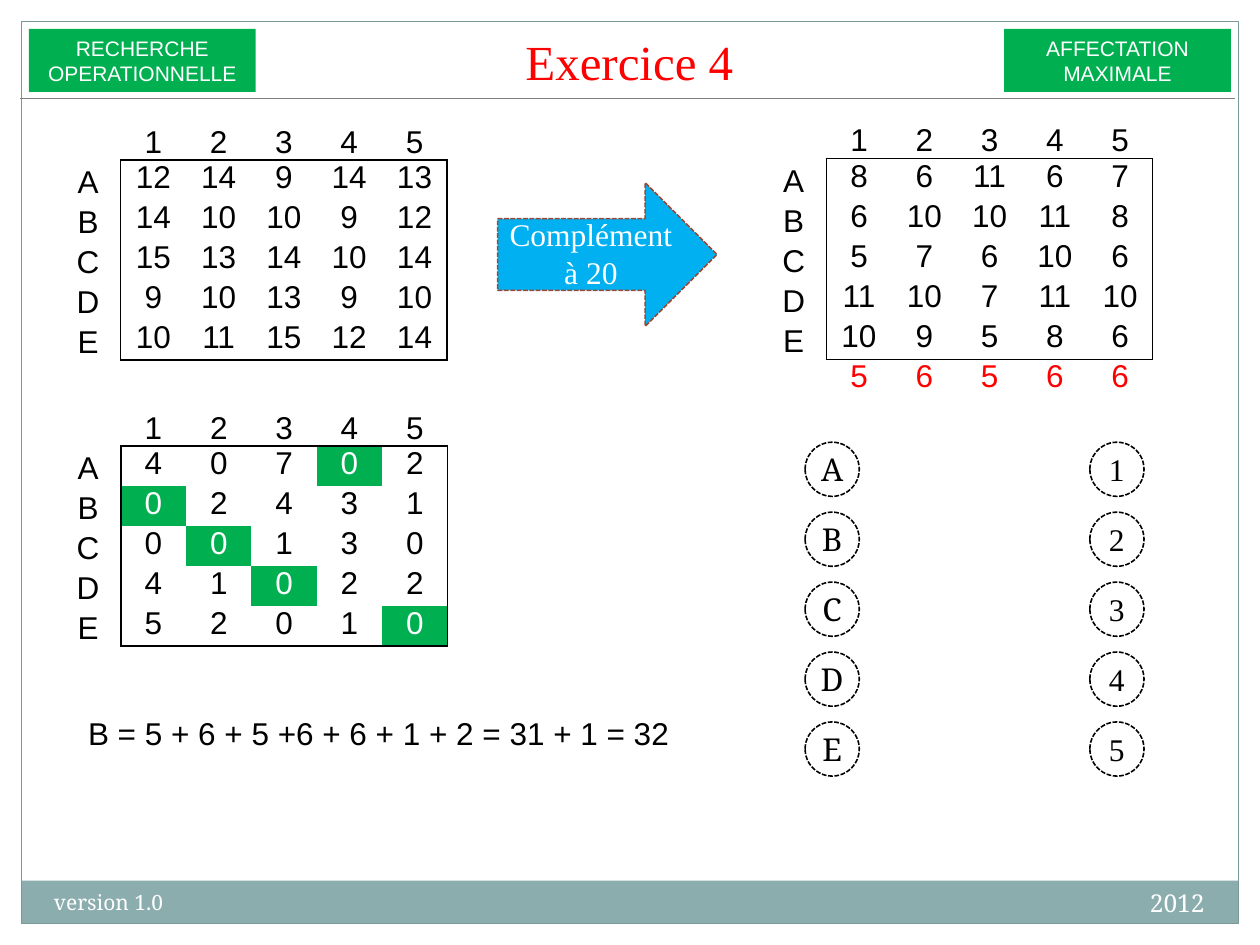
import pptx
import pptx.util
import pptx.dml.color
import pptx.enum.dml
import pptx.enum.shapes
import pptx.enum.text
import pptx.oxml.ns
from lxml import etree

RGBColor = pptx.dml.color.RGBColor
Shape = pptx.enum.shapes.MSO_SHAPE
Anchor = pptx.enum.text.MSO_ANCHOR
Align = pptx.enum.text.PP_ALIGN
Pt = pptx.util.Pt

BLACK = RGBColor(0x00, 0x00, 0x00)
WHITE = RGBColor(0xFF, 0xFF, 0xFF)
RED = RGBColor(0xFF, 0x00, 0x00)
GREEN = RGBColor(0x00, 0xB0, 0x50)
BLUE = RGBColor(0x00, 0xB0, 0xF0)
BROWN = RGBColor(0x9B, 0x49, 0x36)
GREY = RGBColor(0x80, 0x80, 0x80)
FOOTER_FILL = RGBColor(0x8C, 0xAD, 0xAE)
FRAME_LINE = RGBColor(0x7C, 0x99, 0x9A)

SANS, SERIF, TIMES = "Arial", "Noto Serif", "Times New Roman"

# The slide is a grid of 100 columns by 75 rows; boxes are (left, top, width, height) in it
SLIDE_WIDTH, SLIDE_HEIGHT = pptx.util.Inches(10), pptx.util.Inches(7.5)
UNIT = SLIDE_WIDTH / 100

TASKS, WORKERS = "12345", "ABCDE"
COSTS = [[12, 14, 9, 14, 13], [14, 10, 10, 9, 12], [15, 13, 14, 10, 14],
         [9, 10, 13, 9, 10], [10, 11, 15, 12, 14]]
COMPLEMENTS = [[20 - cost for cost in row] for row in COSTS]
COLUMN_MINIMA = [min(column) for column in zip(*COMPLEMENTS)]
REDUCED = [[4, 0, 7, 0, 2], [0, 2, 4, 3, 1], [0, 0, 1, 3, 0],
           [4, 1, 0, 2, 2], [5, 2, 0, 1, 0]]
ASSIGNED = {(1, 4), (2, 1), (3, 2), (4, 3), (5, 5)}  # (row, column) in the table


def grid(*lengths):
    return [round(length * UNIT) for length in lengths]


def write(frame, lines, size, font, color, align=Align.LEFT, anchor=Anchor.TOP):
    frame.word_wrap = True
    frame.vertical_anchor = anchor
    frame.text = "\n".join(lines)
    for paragraph in frame.paragraphs:
        paragraph.alignment = align
        paragraph.font.size = Pt(size)
        paragraph.font.name = font
        paragraph.font.color.rgb = color


def add_text(slide, box, lines, size, font, color, align=Align.LEFT):
    text_box = slide.shapes.add_textbox(*grid(*box))
    write(text_box.text_frame, lines, size, font, color, align)


def add_plain_shape(slide, kind, box, fill=None, line=None, width=0.75, dashed=False):
    shape = slide.shapes.add_shape(kind, *grid(*box))
    shape.shadow.inherit = False
    if fill is None:
        shape.fill.background()
    else:
        shape.fill.solid()
        shape.fill.fore_color.rgb = fill
    if line is None:
        shape.line.fill.background()
    else:
        shape.line.color.rgb = line
        shape.line.width = Pt(width)
        if dashed:
            shape.line.dash_style = pptx.enum.dml.MSO_LINE.SQUARE_DOT
    return shape


def add_frame(slide, box):
    """Slide border with the footer band along its bottom."""
    left, top, width, height = box
    bottom = top + height
    add_plain_shape(slide, Shape.RECTANGLE, (left, bottom - 3.4, width, 3.4), FOOTER_FILL)
    add_plain_shape(slide, Shape.RECTANGLE, box, line=FRAME_LINE)
    add_text(slide, (left + width - 35, bottom - 3.3, 33.3, 4), ["2012"],
             14, SERIF, WHITE, Align.RIGHT)
    add_text(slide, (left + 1.6, bottom - 3.2, 39.2, 4), ["version 1.0"], 12, SERIF, WHITE)


def add_header(slide, box):
    """Title between two green banners, above a rule."""
    left, top, width, height = box
    title = slide.shapes.title
    title.left, title.top, title.width, title.height = grid(18.7, 0.8, 62.5, 6.9)
    write(title.text_frame, ["Exercice 4"], 28, TIMES, RED, Align.CENTER, Anchor.BOTTOM)
    title.text_frame.auto_size = pptx.enum.text.MSO_AUTO_SIZE.NONE

    banner_width = 18
    banners = [(left, ["RECHERCHE", "OPERATIONNELLE"]),
               (left + width - banner_width, ["AFFECTATION", "MAXIMALE"])]
    for banner_left, lines in banners:
        banner = add_plain_shape(slide, Shape.RECTANGLE,
                                 (banner_left, top, banner_width, height), GREEN)
        write(banner.text_frame, lines, 12, SANS, WHITE, Align.CENTER, Anchor.MIDDLE)

    rule = slide.shapes.add_connector(pptx.enum.shapes.MSO_CONNECTOR.STRAIGHT,
                                      *grid(1.6, 7.8, 98, 7.8))
    rule.line.color.rgb = GREY
    rule.line.width = Pt(0.75)
    etree.SubElement(rule._element.spPr, pptx.oxml.ns.qn("a:effectLst"))


def set_borders(cell, sides):
    """Black line on the named sides (of L, R, T, B), none on the others."""
    properties = cell._tc.get_or_add_tcPr()
    for side in "LRTB":
        line = etree.SubElement(properties, pptx.oxml.ns.qn("a:ln" + side), w=str(Pt(1)))
        if side in sides:
            fill = etree.SubElement(line, pptx.oxml.ns.qn("a:solidFill"))
            etree.SubElement(fill, pptx.oxml.ns.qn("a:srgbClr"), val=str(BLACK))
        else:
            etree.SubElement(line, pptx.oxml.ns.qn("a:noFill"))


def matrix_sides(row, column):
    """Sides of a cell that lie on the outline of the 5 by 5 matrix."""
    sides = ""
    if 1 <= row <= 5:
        sides += "L" if column in (1, 6) else ""
        sides += "R" if column in (0, 5) else ""
    if 1 <= column <= 5:
        sides += "T" if row in (1, 6) else ""
        sides += "B" if row in (0, 5) else ""
    return sides


def add_matrix(slide, box, values, minima=None, assigned=(), spare_columns=0):
    rows = [["", *TASKS]] + [[name, *row] for name, row in zip(WORKERS, values)]
    if minima:
        rows.append(["", *minima])
    rows = [row + [""] * spare_columns for row in rows]
    table = slide.shapes.add_table(len(rows), len(rows[0]), *grid(*box)).table
    table.first_row = table.horz_banding = False

    for row_index, row in enumerate(rows):
        for column_index, value in enumerate(row):
            cell = table.cell(row_index, column_index)
            is_label = row_index == 0 or column_index == 0
            is_assigned = (row_index, column_index) in assigned
            color = WHITE if is_assigned else RED if row_index == 6 else BLACK
            side_margin, top_margin = (0.1, 0.1) if is_label else (0.5, 0)
            cell.margin_left, cell.margin_right = grid(side_margin, side_margin)
            cell.margin_top, cell.margin_bottom = grid(top_margin, 0)
            cell.vertical_anchor = Anchor.BOTTOM if is_label else Anchor.TOP
            cell.text = str(value)
            paragraph = cell.text_frame.paragraphs[0]
            paragraph.alignment = Align.CENTER
            paragraph.font.size = Pt(18)
            paragraph.font.name = SANS
            paragraph.font.color.rgb = color
            set_borders(cell, matrix_sides(row_index, column_index))
            if is_assigned:
                cell.fill.solid()
                cell.fill.fore_color.rgb = GREEN
            else:
                cell.fill.background()


def add_arrow(slide, box):
    left, top, width, height = box
    add_plain_shape(slide, Shape.RIGHT_ARROW, box, BLUE, BROWN, 0.9, dashed=True)
    add_text(slide, (left - 0.9, top + 2.1, width - 0.8, 7.1), ["Complément", "à 20"],
             18, TIMES, WHITE, Align.CENTER)


def add_nodes(slide, box):
    """Two facing columns of circles: workers and tasks."""
    left, top, width, height = box
    size = 4.3
    step = (height - size) / (len(WORKERS) - 1)
    for column_left, names, font in [(left, WORKERS, SERIF),
                                     (left + width - size, TASKS, TIMES)]:
        for index, name in enumerate(names):
            node = add_plain_shape(slide, Shape.OVAL,
                                   (column_left, top + index * step, size, size),
                                   line=BLACK, width=0.9, dashed=True)
            write(node.text_frame, [name], 18, font, BLACK, Align.CENTER, Anchor.MIDDLE)
            node.text_frame.word_wrap = False


def main():
    presentation = pptx.Presentation()
    presentation.slide_width, presentation.slide_height = SLIDE_WIDTH, SLIDE_HEIGHT
    slide = presentation.slides.add_slide(presentation.slide_layouts[5])

    add_frame(slide, (1.7, 1.7, 96.6, 71.6))
    add_header(slide, (2.3, 2.3, 95.4, 5))
    add_matrix(slide, (4.4, 9.5, 31.1, 19.1), COSTS)
    add_arrow(slide, (39.5, 14.5, 17.4, 11.4))
    add_matrix(slide, (60.4, 9.4, 31.1, 22.3), COMPLEMENTS, minima=COLUMN_MINIMA)
    add_matrix(slide, (4.4, 32.2, 36.3, 19.1), REDUCED, assigned=ASSIGNED, spare_columns=1)
    add_nodes(slide, (63.9, 35.1, 26.9, 26.5))
    add_text(slide, (6, 56.2, 50.9, 4), ["B = 5 + 6 + 5 +6 + 6 + 1 + 2 = 31 + 1 = 32"],
             18, SANS, BLACK)

    presentation.save("out.pptx")


if __name__ == "__main__":
    main()
